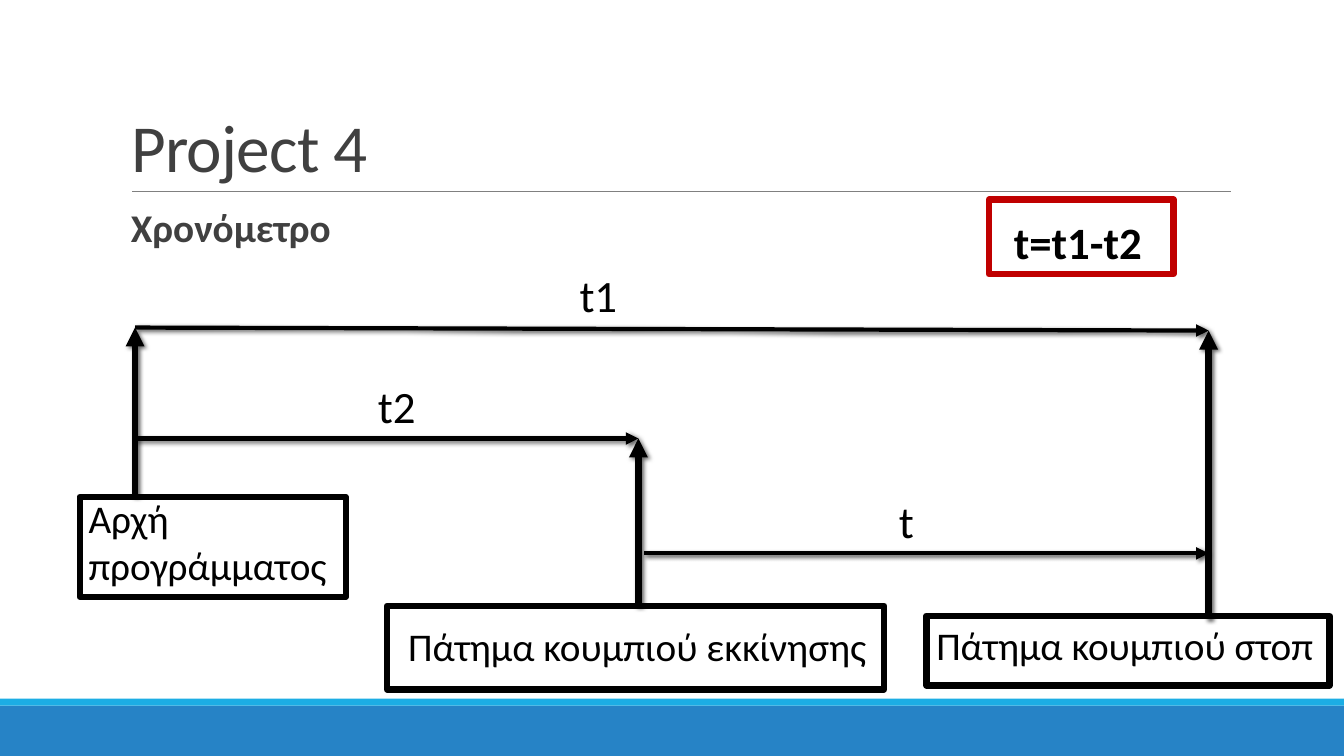
from lxml import etree
from pptx import Presentation
from pptx.dml.color import RGBColor
from pptx.enum.shapes import MSO_CONNECTOR, MSO_SHAPE
from pptx.enum.text import MSO_ANCHOR, PP_ALIGN
from pptx.oxml.ns import qn
from pptx.util import Inches, Pt

LINE = MSO_CONNECTOR.STRAIGHT
RECT = MSO_SHAPE.RECTANGLE
BOTTOM, TOP = MSO_ANCHOR.BOTTOM, MSO_ANCHOR.TOP
LEFT = PP_ALIGN.LEFT

BLACK = RGBColor(0x00, 0x00, 0x00)
DARK_GREY = RGBColor(0x40, 0x40, 0x40)
GREY = RGBColor(0x80, 0x80, 0x80)
RED = RGBColor(0xC0, 0x00, 0x00)
BLUE = RGBColor(0x26, 0x83, 0xC6)
CYAN = RGBColor(0x1C, 0xAD, 0xE4)

WIDTH, HEIGHT = Inches(13.33), Inches(7.5)
FONT = "Calibri"

# Columns and rows are percentages of the slide's width and height.
START_COL, PRESS_COL, STOP_COL = 10.05, 47.5, 89.93
T1_ROW, T1_END_ROW, T2_ROW, T_ROW = 43.33, 43.73, 58, 73.2
LABEL_WIDTH, LABEL_HEIGHT = 6, 8.53


def col(share):
    return round(WIDTH * share / 100)


def row(share):
    return round(HEIGHT * share / 100)


def area(left, top, width, height):
    return col(left), row(top), col(width), row(height)


def write(tf, text, size, color=BLACK, bold=False, spacing=None):
    tf.word_wrap = True
    p = tf.paragraphs[0]
    p.alignment = LEFT
    if spacing:
        p.line_spacing = spacing
    r = p.add_run()
    r.text = text
    r.font.name = FONT
    r.font.size = Pt(size)
    r.font.bold = bold
    r.font.color.rgb = color
    return r


def add_text(slide, box, text, size, **style):
    tf = slide.shapes.add_textbox(*area(*box)).text_frame
    tf.vertical_anchor = TOP
    write(tf, text, size, **style)


def add_bar(slide, top, height, color):
    sp = slide.shapes.add_shape(RECT, *area(0, top, 100, height))
    sp.shadow.inherit = False
    sp.fill.solid()
    sp.fill.fore_color.rgb = color
    sp.line.fill.background()


def add_frame(slide, box, color=BLACK):
    sp = slide.shapes.add_shape(RECT, *area(*box))
    sp.shadow.inherit = False
    sp.fill.background()
    sp.line.color.rgb = color
    sp.line.width = Pt(4.5)


def add_line(slide, start, end, color, width):
    """Draw a plain line and return it with its empty effect list."""
    line = slide.shapes.add_connector(
        LINE, col(start[0]), row(start[1]), col(end[0]), row(end[1]))
    line.line.color.rgb = color
    line.line.width = Pt(width)
    effects = etree.SubElement(line._element.spPr, qn("a:effectLst"))
    return line, effects


def add_arrow(slide, start, end, width):
    """Draw a black arrow with a soft shadow to the lower right."""
    arrow, effects = add_line(slide, start, end, BLACK, width)
    etree.SubElement(arrow.line._get_or_add_ln(), qn("a:tailEnd"), type="triangle")
    shadow = etree.SubElement(
        effects, qn("a:outerShdw"), blurRad=str(Pt(3)), dist=str(Pt(2)),
        dir="2700000", algn="tl", rotWithShape="0")
    shade = etree.SubElement(shadow, qn("a:srgbClr"), val=str(BLACK))
    etree.SubElement(shade, qn("a:alpha"), val="60000")


def add_title(slide, text):
    title = slide.shapes.title
    title.left, title.top, title.width, title.height = area(9, 4.13, 82.5, 21.2)
    title.text_frame.vertical_anchor = BOTTOM
    r = write(title.text_frame, text, 48, DARK_GREY, spacing=0.85)
    r.font._element.set("spc", "-50")


def add_interval(slide, label, label_col, start, end):
    """Draw a horizontal arrow with its label standing on it."""
    add_arrow(slide, start, end, 3)
    add_text(slide, (label_col, start[1] - LABEL_HEIGHT, LABEL_WIDTH, LABEL_HEIGHT),
             label, 32)


def main():
    prs = Presentation()
    prs.slide_width, prs.slide_height = WIDTH, HEIGHT
    slide = prs.slides.add_slide(prs.slide_layouts[5])

    add_bar(slide, 93.33, 6.67, BLUE)
    add_bar(slide, 92.4, 0.93, CYAN)
    add_line(slide, (9.83, 25.33), (91.58, 25.33), GREY, 0.5)
    add_title(slide, "Project 4")
    add_text(slide, (9, 26.93, 82.5, 7.6), "Χρονόμετρο", 28,
             color=DARK_GREY, bold=True, spacing=0.9)

    intervals = [
        ("t1", 42.38, (START_COL, T1_ROW), (STOP_COL, T1_END_ROW)),
        ("t2", 27.38, (START_COL, T2_ROW), (PRESS_COL, T2_ROW)),
        ("t", 66.15, (47.93, T_ROW), (STOP_COL, T_ROW)),
    ]
    for interval in intervals:
        add_interval(slide, *interval)

    events = [
        (START_COL, 65.6, T1_ROW),
        (PRESS_COL, 80.13, T2_ROW),
        (STOP_COL, 81.87, T1_END_ROW),
    ]
    for column, bottom, top in events:
        add_arrow(slide, (column, bottom), (column, top), 4.5)

    add_frame(slide, (73.58, 26.4, 13.73, 9.87), RED)
    add_text(slide, (74.7, 27.73, 12.08, LABEL_HEIGHT), "t=t1-t2", 32, bold=True)

    captions = [
        ("Αρχή προγράμματος", (5.93, 65.73, 19.8, 13.2), (5.85, 64.67, 19.8, 13.87)),
        ("Πάτημα κουμπιού εκκίνησης", (28.8, 80.13, 36.98, 11.07),
         (29.63, 81.6, 40.65, 7.6)),
        ("Πάτημα κουμπιού στοπ", (68.93, 81.47, 30, 9.2), (68.93, 81.47, 29.63, 7.6)),
    ]
    for text, frame, text_box in captions:
        add_frame(slide, frame)
        add_text(slide, text_box, text, 28)

    prs.save("out.pptx")


if __name__ == "__main__":
    main()
